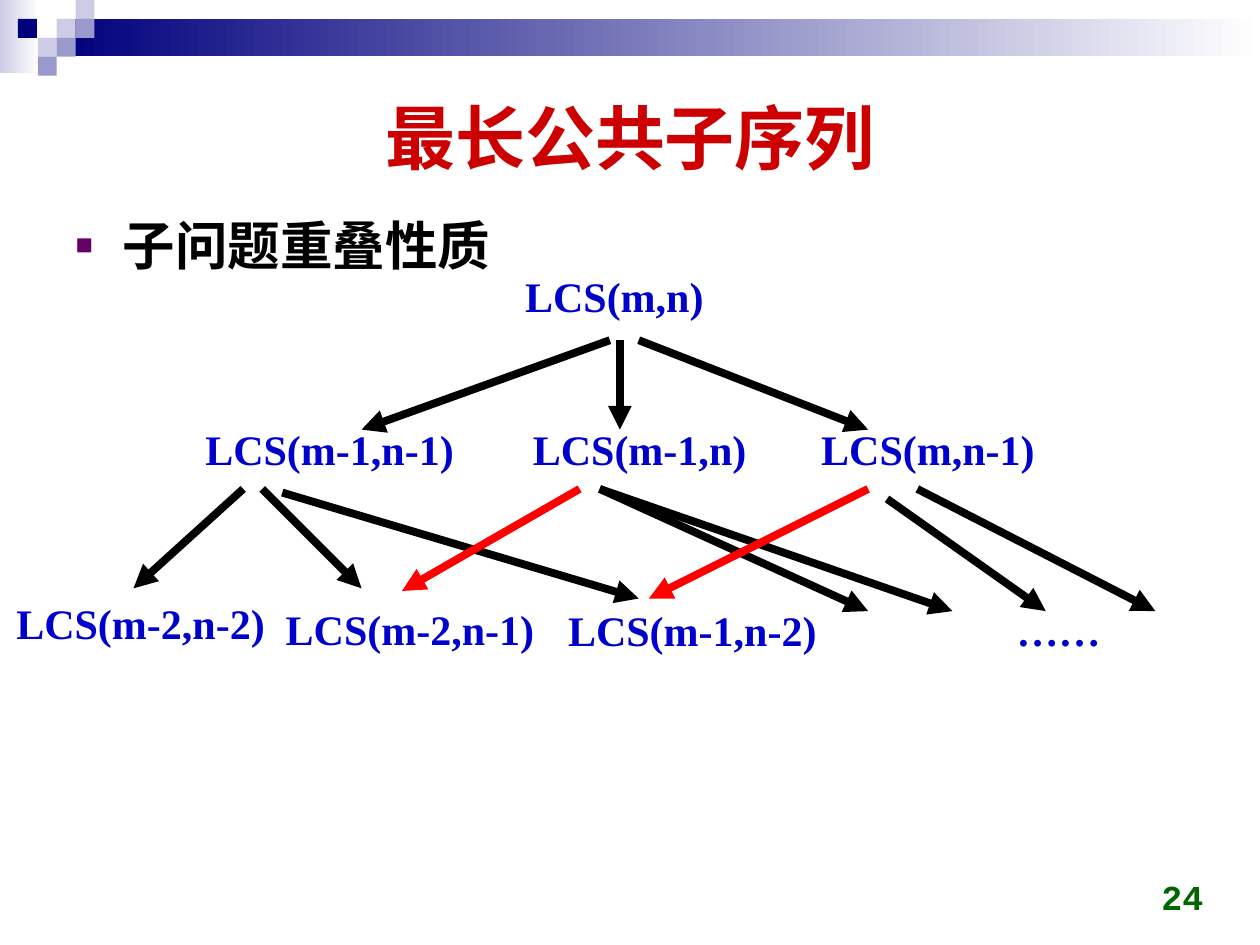
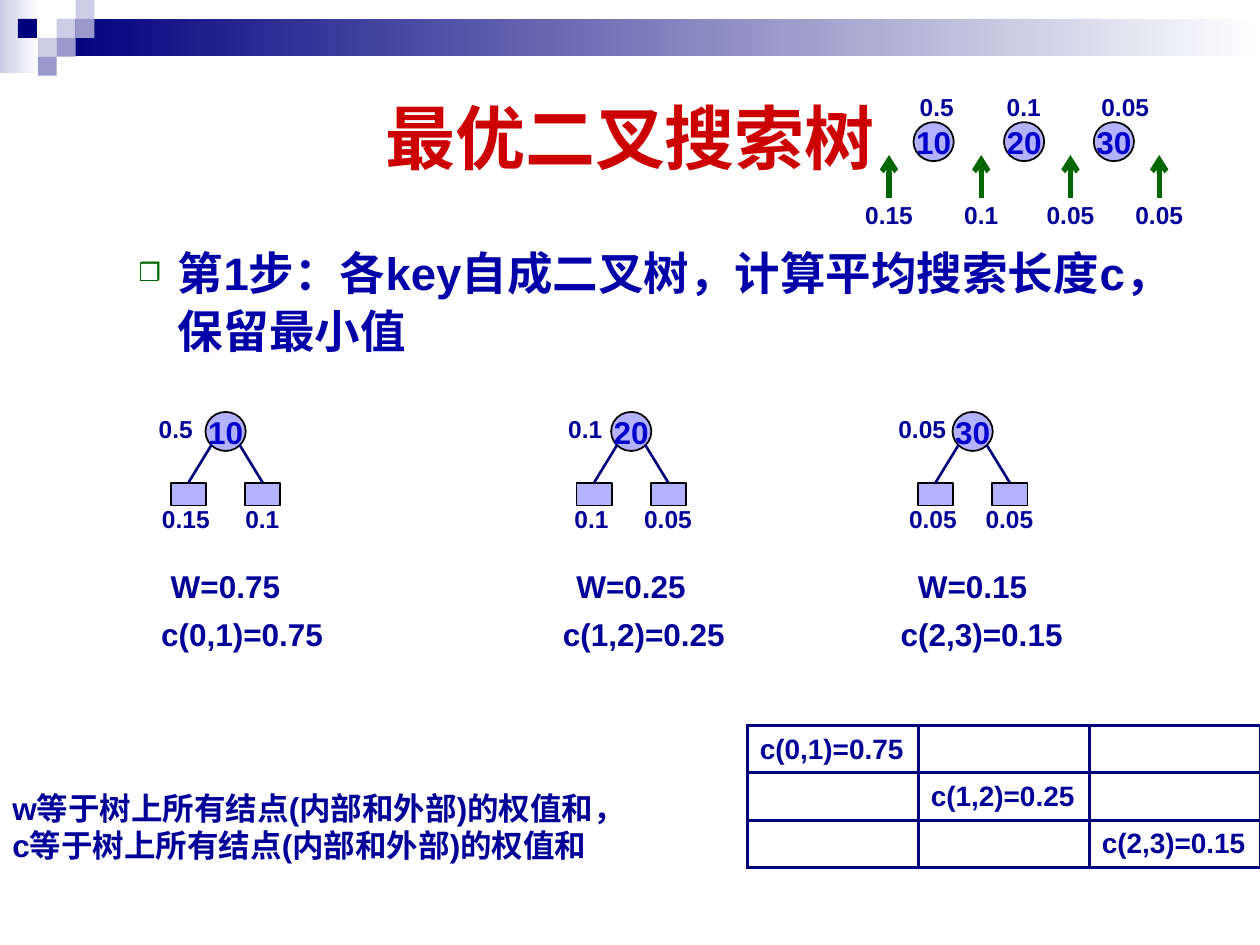
from pptx import Presentation
from pptx.dml.color import RGBColor
from pptx.enum.shapes import MSO_CONNECTOR, MSO_SHAPE
from pptx.enum.text import MSO_ANCHOR, MSO_AUTO_SIZE, PP_ALIGN
from pptx.oxml.ns import qn
from pptx.util import Pt
from lxml import etree

LINE = MSO_CONNECTOR.STRAIGHT
RECT, OVAL = MSO_SHAPE.RECTANGLE, MSO_SHAPE.OVAL
LEFT, MID, RIGHT, FULL = PP_ALIGN.LEFT, PP_ALIGN.CENTER, PP_ALIGN.RIGHT, PP_ALIGN.JUSTIFY
TOP, CENTRE, BASE = MSO_ANCHOR.TOP, MSO_ANCHOR.MIDDLE, MSO_ANCHOR.BOTTOM
FIXED, GROW = MSO_AUTO_SIZE.NONE, MSO_AUTO_SIZE.SHAPE_TO_FIT_TEXT

BLACK = RGBColor(0x00, 0x00, 0x00)
WHITE = RGBColor(0xFF, 0xFF, 0xFF)
NAVY = RGBColor(0x00, 0x00, 0x7D)
PALE = RGBColor(0xCC, 0xCC, 0xE6)
LILAC = RGBColor(0x99, 0x99, 0xCC)
NODE = RGBColor(0xB2, 0xB2, 0xFF)
BLUE = RGBColor(0x00, 0x00, 0xCC)
INK = RGBColor(0x00, 0x00, 0x99)
STEP_INK = RGBColor(0x00, 0x00, 0xA8)
CRIMSON = RGBColor(0xCC, 0x00, 0x00)
RED = RGBColor(0xFF, 0x00, 0x00)
GREEN = RGBColor(0x00, 0x66, 0x00)
PURPLE = RGBColor(0x66, 0x00, 0x66)

SANS, SERIF, MONO = "Arial", "Times New Roman", "Courier New"
TILE = 10.8


def area(*box):
    return [Pt(v) for v in box]


def add_xml(parent, tag, **attrs):
    return etree.SubElement(parent, qn(tag), attrs)


def write(para, text, size, color, face=SANS):
    run = para.add_run()
    run.text = text
    font = run.font
    font.size, font.name, font.bold = Pt(size), face, True
    font.color.rgb = color


def place(holder, box):
    holder.left, holder.top, holder.width, holder.height = area(*box)


def label(slide, lines, box, size, color=INK, face=SANS, align=LEFT,
          wrap=False, anchor=TOP, fit=GROW):
    frame = slide.shapes.add_textbox(*area(*box)).text_frame
    frame.word_wrap, frame.auto_size = wrap, fit
    frame.vertical_anchor = anchor
    for i, text in enumerate(lines.split("\n")):
        para = frame.add_paragraph() if i else frame.paragraphs[0]
        para.alignment = align
        write(para, text, size, color, face)


def block(slide, kind, box, fill, edge=None, fade=False):
    shape = slide.shapes.add_shape(kind, *area(*box))
    shape.shadow.inherit = False
    if fade:
        shape.fill.gradient()
        shape.fill.gradient_angle = 0
        for stop, color in zip(shape.fill.gradient_stops, (fill, WHITE)):
            stop.color.rgb = color
    else:
        shape.fill.solid()
        shape.fill.fore_color.rgb = fill
    if edge is None:
        shape.line.fill.background()
    else:
        shape.line.color.rgb = edge
        shape.line.width = Pt(1)
    return shape


def link(slide, start, end, color, width, head=None):
    line = slide.shapes.add_connector(LINE, *area(*start, *end))
    line.line.color.rgb = color
    line.line.width = Pt(width)
    props = line.element.spPr
    if head:
        add_xml(props.find(qn("a:ln")), "a:tailEnd", type=head)
    add_xml(props, "a:effectLst")


def bullet(para, mark, color, left, hang):
    props = para._p.get_or_add_pPr()
    props.set("marL", str(Pt(left)))
    props.set("indent", str(Pt(-hang)))
    add_xml(add_xml(props, "a:buClr"), "a:srgbClr", val=str(color))
    add_xml(props, "a:buSzPct", val="55000")
    add_xml(props, "a:buFont", typeface=SANS)
    add_xml(props, "a:buChar", char=mark)


def set_title(slide, text):
    frame = slide.shapes.title.text_frame
    frame.auto_size, frame.vertical_anchor = FIXED, CENTRE
    frame.paragraphs[0].alignment = MID
    write(frame.paragraphs[0], text, 40, CRIMSON)


def set_body(slide, text, size, color, mark, tint, left, hang, level=0, align=LEFT):
    frame = slide.placeholders[1].text_frame
    frame.auto_size = FIXED
    para = frame.paragraphs[0]
    para.level, para.alignment = level, align
    para.line_spacing, para.space_before = 1.05, Pt(0.15 * size)
    bullet(para, mark, tint, left, hang)
    write(para, text, size, color)


def add_band(slide, layout):
    """Draw the header band once and hand it to the layout."""
    parts = [block(slide, RECT, (0, 0, 22.3, 41.8), PALE, fade=True),
             block(slide, RECT, (32.4, TILE, 687.6, 21.4), NAVY, fade=True)]
    tiles = [(3, 1, PALE), (4, 0, PALE), (4, 1, LILAC), (2, 2, PALE),
             (0.95, 1, NAVY), (3, 2, LILAC), (2, 3, LILAC)]
    for col, row, color in tiles:
        parts.append(block(slide, RECT, (col * TILE, row * TILE, TILE, TILE), color))
    for i, part in enumerate(parts):
        layout.shapes.element.insert(2 + i, part.element)


def disc(slide, key, mid, top):
    shape = block(slide, OVAL, (mid - 11.5, top, 23, 22.3), NODE, BLACK)
    frame = shape.text_frame
    frame.word_wrap, frame.vertical_anchor = False, CENTRE
    frame.paragraphs[0].alignment = MID
    write(frame.paragraphs[0], key, 18, BLUE)


def weight(slide, text, mid, top):
    label(slide, text, (mid - 20.9, top, 41.8, 24.5), 14, align=MID)


def tree(slide, key, mid, prob, prob_mid, leaves):
    """A key with its two outer leaves."""
    disc(slide, key, mid, 235.4)
    weight(slide, prob, prob_mid, 233.3)
    for side, text, shift in zip((-1, 1), leaves, (-22.7, 21)):
        leaf = mid + side * 21.2
        block(slide, RECT, (leaf - 10.1, 275.8, 20.2, 13), NODE, BLACK)
        link(slide, (leaf, 275.8), (mid + side * 8, 254.2), NAVY, 1.5)
        weight(slide, text, mid + shift, 284.4)


def cost_grid(slide, costs):
    """A square table with the costs on its diagonal."""
    size = len(costs)
    table = slide.shapes.add_table(
        size, size, *area(427, 414.7, 97.7 * size, 27 * size)).table
    table.first_row = table.horz_banding = False
    for i in range(size):
        for j in range(size):
            cell = table.cell(i, j)
            cell.margin_top = cell.margin_bottom = Pt(2.5)
            cell.margin_left, cell.margin_right = Pt(7.2), 0
            cell.vertical_anchor = CENTRE
            props = cell._tc.get_or_add_tcPr()
            for side in "LRTB":
                edge = add_xml(props, "a:ln" + side, w=str(Pt(2)))
                add_xml(add_xml(edge, "a:solidFill"), "a:srgbClr", val=str(NAVY))
            cell.fill.background()
            if i == j:
                write(cell.text_frame.paragraphs[0], costs[i], 16, INK)


def overlap_slide(slide):
    set_title(slide, "最长公共子序列")
    set_body(slide, "子问题重叠性质", 30, BLACK, "■", PURPLE, 27, 27, align=FULL)
    label(slide, "24", (527, 491.8, 167.8, 36), 20, GREEN, MONO, RIGHT,
          True, BASE, FIXED)

    # Subproblems: text, left, top, width, wrap
    calls = [("LCS(m,n)", 293, 151.2, 117.4, False),
             ("LCS(m-1,n-1)", 110.2, 238.3, 170, True),
             ("LCS(m-1,n)", 297.4, 238.3, 147.6, True),
             ("LCS(m,n-1)", 462.2, 238.3, 147.6, True),
             ("LCS(m-2,n-2)", 2.2, 337.7, 170, True),
             ("LCS(m-2,n-1)", 156.2, 341.3, 164.2, True),
             ("LCS(m-1,n-2)", 317.5, 342, 193, True),
             ("……", 573.8, 342, 63.4, False)]
    for text, left, top, width, wrap in calls:
        label(slide, text, (left, top, width, 36), 24, BLUE, SERIF, wrap=wrap)

    # Calls; red ones reach a subproblem again
    arrows = [((348.5, 194.4), (206.6, 245.5), BLACK),
              ((354.2, 194.4), (354.2, 245.5), BLACK),
              ((365, 194.4), (496.1, 245.5), BLACK),
              ((139, 279.4), (76.3, 336.2), BLACK),
              ((149.8, 279.4), (206.6, 336.2), BLACK),
              ((161.3, 281.5), (365, 342), BLACK),
              ((331.2, 279.4), (229.7, 337.7), RED),
              ((342.7, 279.4), (496.1, 349.2), BLACK),
              ((342.7, 279.4), (544.3, 349.2), BLACK),
              ((496.1, 279.4), (370.8, 342), RED),
              ((506.9, 285.1), (597.6, 349.2), BLACK),
              ((524.2, 279.4), (660.2, 349.2), BLACK)]
    for start, end, color in arrows:
        link(slide, start, end, color, 4.5, "triangle")


def search_slide(slide):
    set_title(slide, "最优二叉搜索树")
    place(slide.placeholders[1], (36, 135, 648, 356))
    set_body(slide, "第1步：各key自成二叉树，计算平均搜索长度c，保留最小值",
             26, STEP_INK, "❒", GREEN, 58.5, 22.5, level=1)

    # Keys and gaps with their weights
    for key, mid, prob, spot in [("10", 533.5, "0.5", 535.3),
                                 ("20", 585.2, "0.1", 585),
                                 ("30", 636.5, "0.05", 643)]:
        disc(slide, key, mid, 69.8)
        weight(slide, prob, spot, 49)
    for prob, mid in [("0.15", 508), ("0.1", 560.7), ("0.05", 611.7), ("0.05", 662.4)]:
        link(slide, (mid, 113), (mid, 88.6), GREEN, 3, "arrow")
        weight(slide, prob, mid, 110.9)

    # One tree per key, with its weight sum and cost
    trees = [("10", 128.9, "0.5", 100.4, ("0.15", "0.1"), "W=0.75", "c(0,1)=0.75", 85),
             ("20", 360.7, "0.1", 334.4, ("0.1", "0.05"), "W=0.25", "c(1,2)=0.25", 314.6),
             ("30", 555.8, "0.05", 527, ("0.05", "0.05"), "W=0.15", "c(2,3)=0.15", 507.6)]
    for key, mid, prob, spot, leaves, total, cost, left in trees:
        tree(slide, key, mid, prob, spot, leaves)
        label(slide, total, (mid - 38.4, 320.4, 83.5, 28.8), 18, wrap=True)
        label(slide, cost, (left, 347.8, 108, 28.8), 18)

    label(slide, "w等于树上所有结点(内部和外部)的权值和，\nc等于树上所有结点(内部和外部)的权值和",
          (0, 447.1, 370, 51), 18)
    cost_grid(slide, [row[6] for row in trees])


def main():
    deck = Presentation()
    deck.slide_width, deck.slide_height = area(720, 540)
    layout = deck.slide_layouts[1]
    place(layout.placeholders[0], (36, 36, 648, 83.5))
    place(layout.placeholders[1], (36, 116.6, 648, 374.4))
    first, second = [deck.slides.add_slide(layout) for _ in range(2)]
    add_band(first, layout)
    overlap_slide(first)
    search_slide(second)
    deck.save("out.pptx")


if __name__ == "__main__":
    main()
